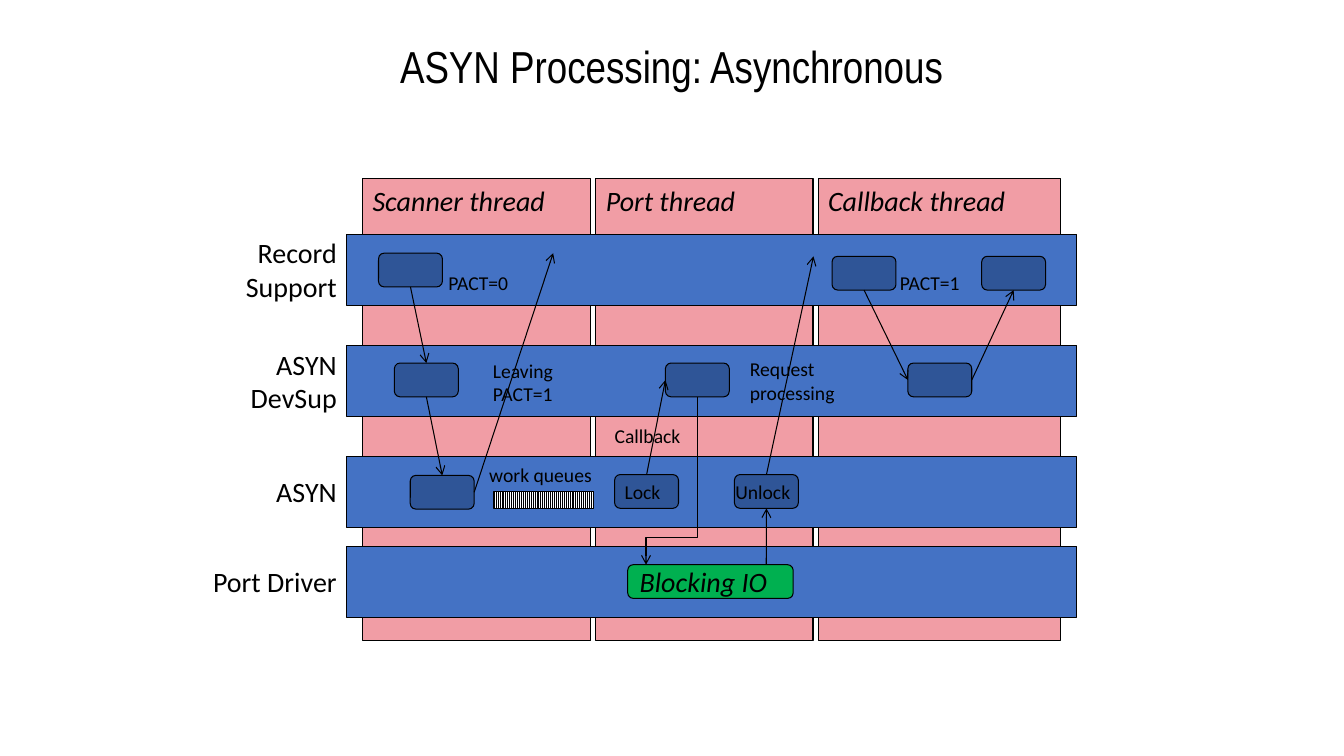
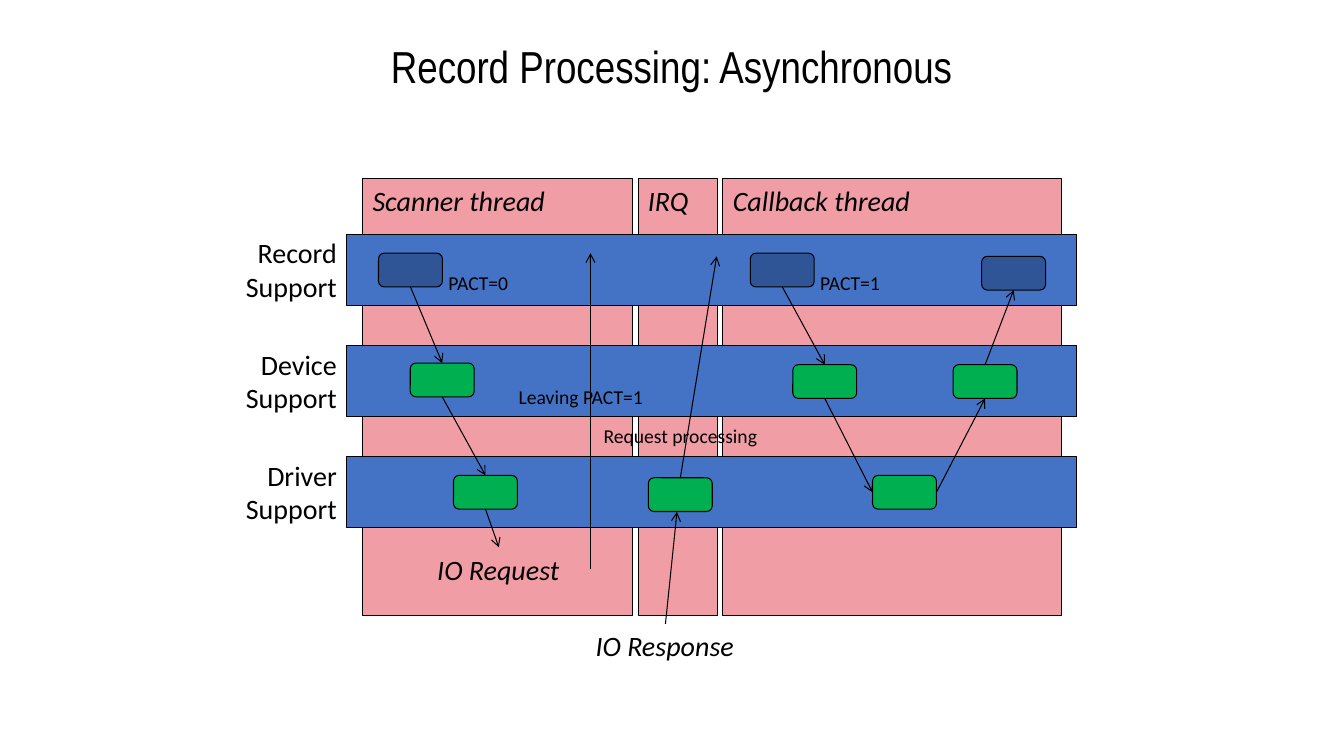
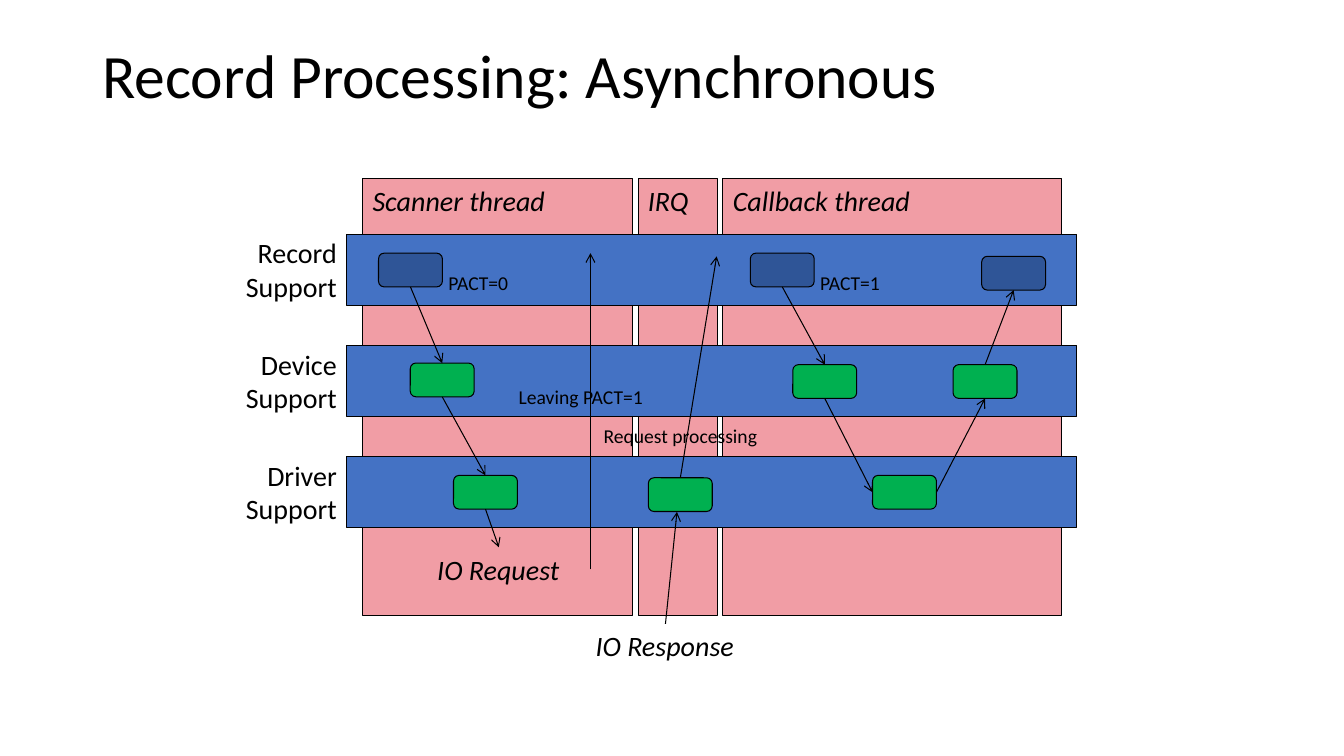
"""Build three slides on asynchronous record processing across threads."""
from copy import deepcopy

from lxml.etree import SubElement
from pptx import Presentation
from pptx.dml.color import RGBColor
from pptx.enum.dml import MSO_PATTERN
from pptx.enum.shapes import MSO_CONNECTOR as Line, MSO_SHAPE as Preset
from pptx.enum.text import MSO_ANCHOR as Anchor, MSO_AUTO_SIZE as AutoSize, PP_ALIGN as Align
from pptx.oxml.ns import qn
from pptx.util import Cm, Pt

BLACK = RGBColor(0x00, 0x00, 0x00)
WHITE = RGBColor(0xFF, 0xFF, 0xFF)
PINK = RGBColor(0xF1, 0x9D, 0xA5)
BLUE = RGBColor(0x44, 0x72, 0xC4)
NAVY = RGBColor(0x2F, 0x55, 0x97)
GREEN = RGBColor(0x00, 0xB0, 0x50)

TOP, LEFT, BOTTOM, RIGHT = range(4)
LANE_LEFT, LANE_WIDTH, LANE_HEIGHT = 8.74, 18.4, 1.8
LANE_TOPS = (5.9, 8.7, 11.5, 13.76)
THREAD_LEFT, THREAD_TOP, THREAD_GAP = 9.14, 4.5, 0.13
BOX_WIDTH, BOX_HEIGHT = 1.61, 0.85
SINGLE_HEIGHT = {14: 0.86, 20: 1.12}
DOUBLE_HEIGHT = {14: 1.45, 20: 1.96}


def write_text(frame, text, size=14, font="Calibri", italic=False, align=Align.LEFT, spacing=None):
    paragraph = frame.paragraphs[0]
    paragraph.text = text
    paragraph.alignment = align
    paragraph.line_spacing = spacing
    for run in paragraph.runs:
        run.font.size = Pt(size)
        run.font.name = font
        run.font.italic = italic
        run.font.color.rgb = BLACK
    for line_break in paragraph._p.findall(qn("a:br")):
        line_break.append(deepcopy(paragraph.runs[0]._r.rPr))


def locate(end):
    target, position = end
    if isinstance(target, (int, float)):
        return Cm(target), Cm(position)
    middle_x = target.left + target.width // 2
    middle_y = target.top + target.height // 2
    return {
        TOP: (middle_x, target.top),
        LEFT: (target.left, middle_y),
        BOTTOM: (middle_x, target.top + target.height),
        RIGHT: (target.left + target.width, middle_y),
    }[position]


class Diagram:
    def __init__(self):
        self.presentation = Presentation()
        self.presentation.slide_width = Cm(33.87)
        self.presentation.slide_height = Cm(19.05)
        self.slide = None

    def new_slide(self, title, **style):
        self.slide = self.presentation.slides.add_slide(self.presentation.slide_layouts[6])
        shape = self.slide.shapes.add_textbox(Cm(2.33), Cm(1.01), Cm(29.21), Cm(3.68))
        shape.text_frame.word_wrap = True
        write_text(shape.text_frame, title, spacing=0.9, **style)

    def block(self, left, top, width, height, color, preset=Preset.RECTANGLE):
        shape = self.slide.shapes.add_shape(preset, Cm(left), Cm(top), Cm(width), Cm(height))
        shape.shadow.inherit = False
        shape.fill.solid()
        shape.fill.fore_color.rgb = color
        shape.line.color.rgb = BLACK
        shape.line.width = Pt(0.75)
        return shape

    def threads(self, height, columns):
        left = THREAD_LEFT
        for name, width in columns:
            frame = self.block(left, THREAD_TOP, width, height, PINK).text_frame
            frame.vertical_anchor = Anchor.TOP
            write_text(frame, name, size=20, italic=True)
            left += width + THREAD_GAP

    def lanes(self, names):
        for top, (name, width) in zip(LANE_TOPS, names):
            self.block(LANE_LEFT, top, LANE_WIDTH, LANE_HEIGHT, BLUE)
            height = (DOUBLE_HEIGHT if "\n" in name else SINGLE_HEIGHT)[20]
            label_top = top + (LANE_HEIGHT - height) / 2
            self.label(name, LANE_LEFT - width, label_top, width, size=20, align=Align.RIGHT)

    def box(self, left, top, color=NAVY, width=BOX_WIDTH):
        return self.block(left, top, width, BOX_HEIGHT, color, Preset.ROUNDED_RECTANGLE)

    def queue(self, left, top, width, height):
        shape = self.block(left, top, width, height, WHITE)
        shape.fill.patterned()
        shape.fill.pattern = MSO_PATTERN.LIGHT_VERTICAL
        shape.fill.fore_color.rgb = BLACK
        shape.fill.back_color.rgb = WHITE

    def label(self, text, left, top, width, size=14, **style):
        height = (DOUBLE_HEIGHT if "\n" in text else SINGLE_HEIGHT)[size]
        shape = self.slide.shapes.add_textbox(Cm(left), Cm(top), Cm(width), Cm(height))
        shape.text_frame.word_wrap = False
        shape.text_frame.auto_size = AutoSize.SHAPE_TO_FIT_TEXT
        write_text(shape.text_frame, text, size=size, **style)

    def style_arrow(self, connector):
        connector.line.color.rgb = BLACK
        connector.line.width = Pt(0.75)
        SubElement(connector.line._get_or_add_ln(), qn("a:tailEnd"), type="arrow")
        SubElement(connector._element.spPr, qn("a:effectLst"))

    def arrow(self, start, end):
        connector = self.slide.shapes.add_connector(Line.STRAIGHT, *locate(start), *locate(end))
        if not isinstance(start[0], (int, float)):
            connector.begin_connect(*start)
        if not isinstance(end[0], (int, float)):
            connector.end_connect(*end)
        self.style_arrow(connector)

    def elbow_down(self, start, end, bend):
        (start_x, start_y), (end_x, end_y) = locate(start), locate(end)
        length, spread = end_y - start_y, start_x - end_x
        left = (start_x + end_x - length) // 2
        top = (start_y + end_y - spread) // 2
        connector = self.slide.shapes.add_connector(
            Line.ELBOW, left, top, left + length, top + spread)
        properties = connector._element.spPr
        properties.find(qn("a:xfrm")).set("rot", "5400000")
        adjustments = properties.find(qn("a:prstGeom")).get_or_add_avLst()
        SubElement(adjustments, qn("a:gd"), name="adj1", fmla=f"val {round(bend * 100000)}")
        self.style_arrow(connector)


def draw_asyn_processing(diagram):
    diagram.new_slide("ASYN Processing: Asynchronous", size=32, font="Arial Narrow",
                      align=Align.CENTER)
    diagram.threads(11.63, [("Scanner thread", 5.75), ("Port thread", 5.47),
                            ("Callback thread", 6.1)])
    diagram.lanes([("Record\nSupport", 2.82), ("ASYN\nDevSup", 2.69),
                   ("ASYN", 2.06), ("Port Driver", 3.66)])

    scan_record = diagram.box(9.54, 6.38)
    scan_device = diagram.box(9.94, 9.15)
    scan_asyn = diagram.box(10.34, 11.98)
    callback_record = diagram.box(20.97, 6.46)
    callback_device = diagram.box(22.88, 9.15)
    final_record = diagram.box(24.74, 6.46)
    lock = diagram.box(15.49, 11.96)
    unlock = diagram.box(18.51, 11.96)
    port_device = diagram.box(16.77, 9.15)
    diagram.box(15.82, 14.23, GREEN, width=4.17)
    diagram.queue(12.45, 12.38, 2.52, 0.43)

    for start, end in [
        ((scan_record, BOTTOM), (scan_device, TOP)),
        ((scan_device, BOTTOM), (scan_asyn, TOP)),
        ((scan_asyn, RIGHT), (13.94, 6.38)),
        ((lock, TOP), (port_device, LEFT)),
        ((19.31, 14.23), (unlock, BOTTOM)),
        ((unlock, TOP), (20.5, 6.46)),
        ((callback_record, BOTTOM), (callback_device, LEFT)),
        ((callback_device, RIGHT), (final_record, BOTTOM)),
    ]:
        diagram.arrow(start, end)
    diagram.elbow_down((port_device, BOTTOM), (16.28, 14.23), 0.84)

    for text, left, top, width in [
        ("PACT=0", 11.05, 6.71, 2.02),
        ("Leaving\nPACT=1", 12.17, 8.91, 2.06),
        ("PACT=1", 22.43, 6.71, 2.02),
        ("work queues", 12.08, 11.55, 3.13),
        ("Callback", 15.24, 10.57, 2.19),
        ("Request\nprocessing", 18.65, 8.87, 2.66),
        ("Lock", 15.49, 11.98, 1.42),
        ("Unlock", 18.28, 11.97, 1.89),
    ]:
        diagram.label(text, left, top, width)
    diagram.label("Blocking IO", 15.87, 14.1, 3.76, size=20, italic=True)


def draw_record_processing(diagram, **title_style):
    diagram.new_slide("Record Processing: Asynchronous", **title_style)
    diagram.threads(11, [("Scanner thread", 6.81), ("IRQ", 2.01), ("Callback thread", 8.54)])
    diagram.lanes([("Record\nSupport", 2.82), ("Device\nSupport", 2.82),
                   ("Driver\nSupport", 2.82)])

    scan_record = diagram.box(9.54, 6.38)
    scan_device = diagram.box(10.34, 9.15, GREEN)
    scan_driver = diagram.box(11.43, 11.98, GREEN)
    interrupt = diagram.box(16.34, 12.04, GREEN)
    callback_record = diagram.box(18.91, 6.38)
    callback_device = diagram.box(19.98, 9.19, GREEN)
    callback_driver = diagram.box(21.99, 11.98, GREEN)
    final_device = diagram.box(24.02, 9.19, GREEN)
    final_record = diagram.box(24.74, 6.46)

    for start, end in [
        ((scan_record, BOTTOM), (scan_device, TOP)),
        ((scan_device, BOTTOM), (scan_driver, TOP)),
        ((scan_driver, BOTTOM), (12.57, 13.79)),
        ((14.88, 14.35), (14.88, 6.38)),
        ((16.77, 15.72), (17.06, 12.9)),
        ((interrupt, TOP), (18.06, 6.46)),
        ((callback_record, BOTTOM), (callback_device, TOP)),
        ((callback_device, BOTTOM), (callback_driver, LEFT)),
        ((callback_driver, RIGHT), (final_device, BOTTOM)),
        ((final_device, TOP), (final_record, BOTTOM)),
    ]:
        diagram.arrow(start, end)

    for text, left, top, width in [
        ("PACT=0", 11.05, 6.71, 2.02),
        ("Leaving PACT=1", 12.82, 9.58, 3.69),
        ("PACT=1", 20.42, 6.71, 2.02),
        ("Request processing", 14.96, 10.57, 4.42),
    ]:
        diagram.label(text, left, top, width)
    diagram.label("IO Request", 10.77, 13.79, 3.61, size=20, italic=True)
    diagram.label("IO Response", 14.76, 15.72, 4.01, size=20, italic=True)


def main():
    diagram = Diagram()
    draw_asyn_processing(diagram)
    draw_record_processing(diagram, size=32, font="Arial Narrow", align=Align.CENTER)
    draw_record_processing(diagram, size=44)
    diagram.presentation.save("out.pptx")


if __name__ == "__main__":
    main()
